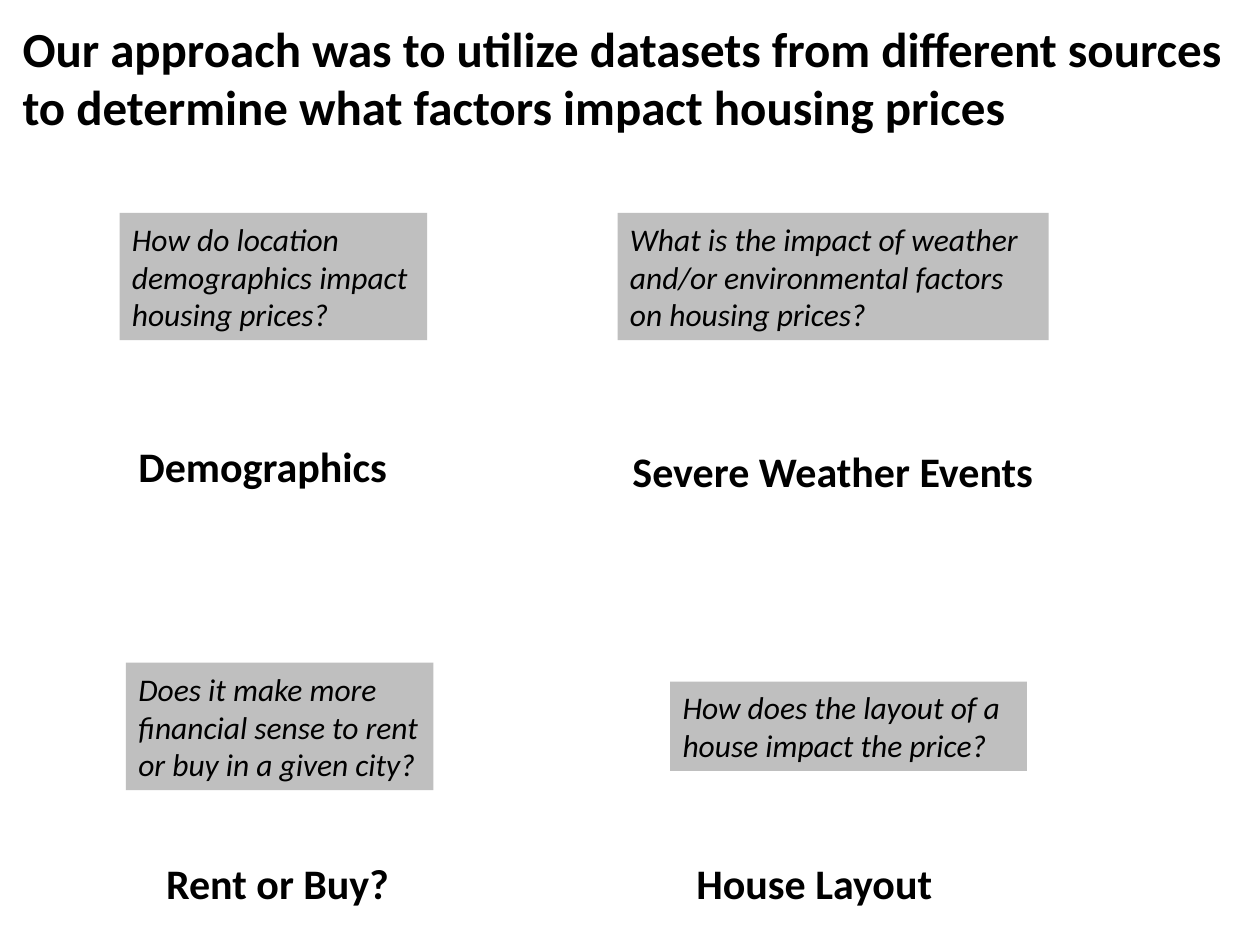
from dataclasses import dataclass

import pptx
import pptx.dml.color
import pptx.enum.shapes
import pptx.enum.text
import pptx.shapes.autoshape
import pptx.slide
import pptx.util

Cm = pptx.util.Cm
Align = pptx.enum.text.PP_ALIGN
Anchor = pptx.enum.text.MSO_ANCHOR


@dataclass(frozen=True)
class Theme:
    font: str = "Calibri"
    ink: str = "000000"
    panel: str = "BFBFBF"
    title_size: int = 28
    topic_size: int = 24
    question_size: int = 18


@dataclass(frozen=True)
class Area:
    left: float
    top: float
    width: float
    height: float

    def lengths(self) -> tuple[int, int, int, int]:
        return Cm(self.left), Cm(self.top), Cm(self.width), Cm(self.height)


@dataclass(frozen=True)
class Theme_Topic:
    topic: str
    topic_area: Area
    question: str
    question_area: Area
    align: Align = Align.LEFT


THEME = Theme()
HEADLINE = (
    "Our approach was to utilize datasets from different sources "
    "to determine what factors impact housing prices"
)
HEADLINE_AREA = Area(0.2, 0.23, 24.77, 2.64)
TOPICS = [
    Theme_Topic(
        "Demographics", Area(2.54, 8.76, 6.99, 1.27),
        "How do location demographics impact housing prices?",
        Area(2.41, 4.29, 6.2, 2.57),
    ),
    Theme_Topic(
        "Severe Weather Events", Area(12.5, 8.86, 9.22, 1.2),
        "What is the impact of weather and/or environmental factors on housing prices?",
        Area(12.45, 4.29, 8.69, 2.57),
    ),
    Theme_Topic(
        "Rent or Buy?", Area(2.46, 17.17, 6.27, 1.27),
        "Does it make more financial sense to rent or buy in a given city?",
        Area(2.54, 13.36, 6.2, 2.57), Align.CENTER,
    ),
    Theme_Topic(
        "House Layout", Area(13.79, 17.17, 6.15, 1.27),
        "How does the layout of a house impact the price?",
        Area(13.51, 13.74, 7.19, 1.8),
    ),
]


def write(
    shape: pptx.shapes.autoshape.Shape,
    text: str,
    size: int,
    bold: bool = False,
    italic: bool = False,
    align: Align = Align.LEFT,
    anchor: Anchor = Anchor.MIDDLE,
) -> None:
    frame = shape.text_frame
    frame.word_wrap = True
    frame.auto_size = pptx.enum.text.MSO_AUTO_SIZE.NONE
    frame.vertical_anchor = anchor
    paragraph = frame.paragraphs[0]
    paragraph.alignment = align
    run = paragraph.add_run()
    run.text = text
    run.font.name = THEME.font
    run.font.size = pptx.util.Pt(size)
    run.font.bold = bold
    run.font.italic = italic
    run.font.color.rgb = pptx.dml.color.RGBColor.from_string(THEME.ink)


def draw_headline(slide: pptx.slide.Slide) -> None:
    headline = slide.shapes.title
    headline.left, headline.top, headline.width, headline.height = HEADLINE_AREA.lengths()
    write(headline, HEADLINE, THEME.title_size, bold=True)


def draw_topic(slide: pptx.slide.Slide, item: Theme_Topic) -> None:
    topic = slide.shapes.add_textbox(*item.topic_area.lengths())
    write(topic, item.topic, THEME.topic_size, bold=True, align=item.align, anchor=Anchor.TOP)

    question = slide.shapes.add_shape(
        pptx.enum.shapes.MSO_SHAPE.RECTANGLE, *item.question_area.lengths()
    )
    question.shadow.inherit = False
    question.fill.solid()
    question.fill.fore_color.rgb = pptx.dml.color.RGBColor.from_string(THEME.panel)
    question.line.fill.background()
    write(question, item.question, THEME.question_size, italic=True)


def main() -> None:
    deck = pptx.Presentation()
    deck.slide_width, deck.slide_height = Cm(25.4), Cm(19.05)
    slide = deck.slides.add_slide(deck.slide_layouts.get_by_name("Title Only"))
    draw_headline(slide)
    for item in TOPICS:
        draw_topic(slide, item)
    deck.save("out.pptx")


if __name__ == "__main__":
    main()
